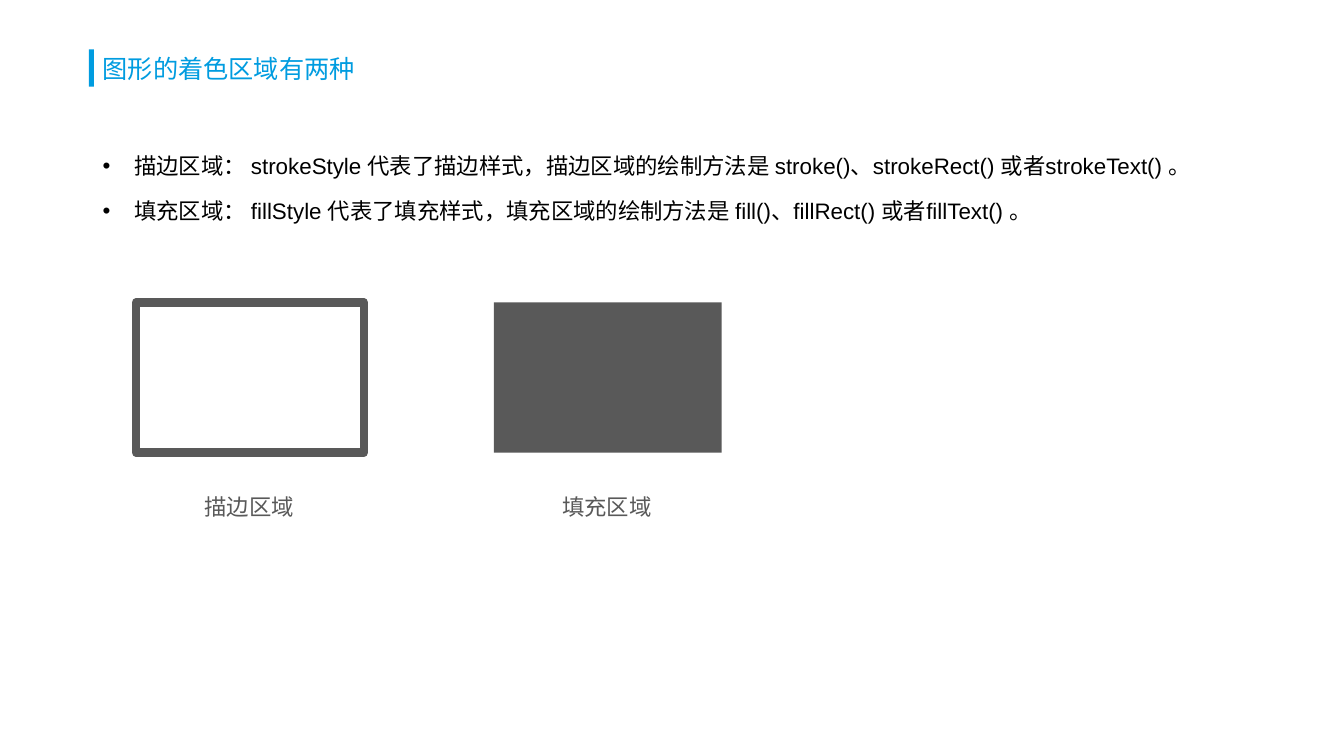
from lxml.etree import SubElement
from pptx import Presentation
from pptx.dml.color import RGBColor
from pptx.enum.shapes import MSO_SHAPE
from pptx.enum.text import MSO_ANCHOR, MSO_AUTO_SIZE, PP_ALIGN
from pptx.oxml.ns import qn
from pptx.util import Pt

COLORS = {"accent": "009CE0", "body": "000000", "gray": "595959"}
LATIN, CJK = "Arial", "Noto Sans CJK SC"


class SlideBuilder:
    """Holds the slide and draws each kind of element; lengths are points."""

    def __init__(self, slide):
        self.slide = slide

    def color(self, name):
        return RGBColor.from_string(COLORS[name])

    def place(self, shape, left, top, width, height):
        shape.left, shape.top = Pt(left), Pt(top)
        shape.width, shape.height = Pt(width), Pt(height)

    def style(self, paragraph, size, color, font=LATIN):
        for run in paragraph.runs:
            run.font.size = Pt(size)
            run.font.name = font
            run.font.color.rgb = self.color(color)
            east_asian = SubElement(run.font._element, qn("a:ea"))
            east_asian.set("typeface", CJK)

    def title(self, text, box):
        heading = self.slide.shapes.title
        self.place(heading, *box)
        frame = heading.text_frame
        frame.text = text
        frame.auto_size = MSO_AUTO_SIZE.NONE
        frame.vertical_anchor = MSO_ANCHOR.MIDDLE
        line = frame.paragraphs[0]
        line.alignment = PP_ALIGN.LEFT
        line.line_spacing = 0.9
        self.style(line, 18, "accent")

    def bullets(self, items, box, indent=22.5):
        body = self.slide.placeholders[1]
        self.place(body, *box)
        frame = body.text_frame
        frame.text = "\n".join(items)
        frame.auto_size = MSO_AUTO_SIZE.NONE
        for item in frame.paragraphs:
            item.line_spacing = 1.5
            item.space_before = Pt(3.2)
            properties = item._p.get_or_add_pPr()
            properties.set("marL", str(Pt(indent)))
            properties.set("indent", str(-Pt(indent)))
            self.style(item, 16, "body")

    def rectangle(self, box, fill=None, line=None, weight=6):
        rect = self.slide.shapes.add_shape(MSO_SHAPE.RECTANGLE, *map(Pt, box))
        rect.shadow.inherit = False
        if fill:
            rect.fill.solid()
            rect.fill.fore_color.rgb = self.color(fill)
        else:
            rect.fill.background()
        if line:
            rect.line.color.rgb = self.color(line)
            rect.line.width = Pt(weight)
        else:
            rect.line.fill.background()

    def caption(self, text, box):
        frame = self.slide.shapes.add_textbox(*map(Pt, box)).text_frame
        frame.text = text
        frame.word_wrap = False
        frame.auto_size = MSO_AUTO_SIZE.SHAPE_TO_FIT_TEXT
        self.style(frame.paragraphs[0], 16, "gray", CJK)


def main():
    deck = Presentation()
    deck.slide_width, deck.slide_height = Pt(960), Pt(540)
    builder = SlideBuilder(deck.slides.add_slide(deck.slide_layouts[1]))

    # Heading with its accent bar
    builder.rectangle((63.4, 35.3, 3.6, 26.6), fill="accent")
    builder.title("图形的着色区域有两种", (66.2, 28.8, 828, 42.5))

    # Explanation of the two areas
    builder.bullets([
        "描边区域： strokeStyle 代表了描边样式，描边区域的绘制方法是 stroke()、strokeRect() 或者strokeText() 。",
        "填充区域： fillStyle 代表了填充样式，填充区域的绘制方法是 fill()、fillRect() 或者fillText() 。",
    ], (66.2, 95.8, 828, 391))

    # Stroked and filled examples, each with a centred caption
    first_left, pitch = 97.2, 255.6
    example_width, caption_width = 162.7, 79.2
    examples = [("描边区域", {"line": "gray"}), ("填充区域", {"fill": "gray"})]
    for index, (label, paint) in enumerate(examples):
        left = first_left + index * pitch
        builder.rectangle((left, 216, example_width, 107.3), **paint)
        caption_left = left + (example_width - caption_width) / 2
        builder.caption(label, (caption_left, 348.5, caption_width, 26.6))

    deck.save("out.pptx")


if __name__ == "__main__":
    main()
